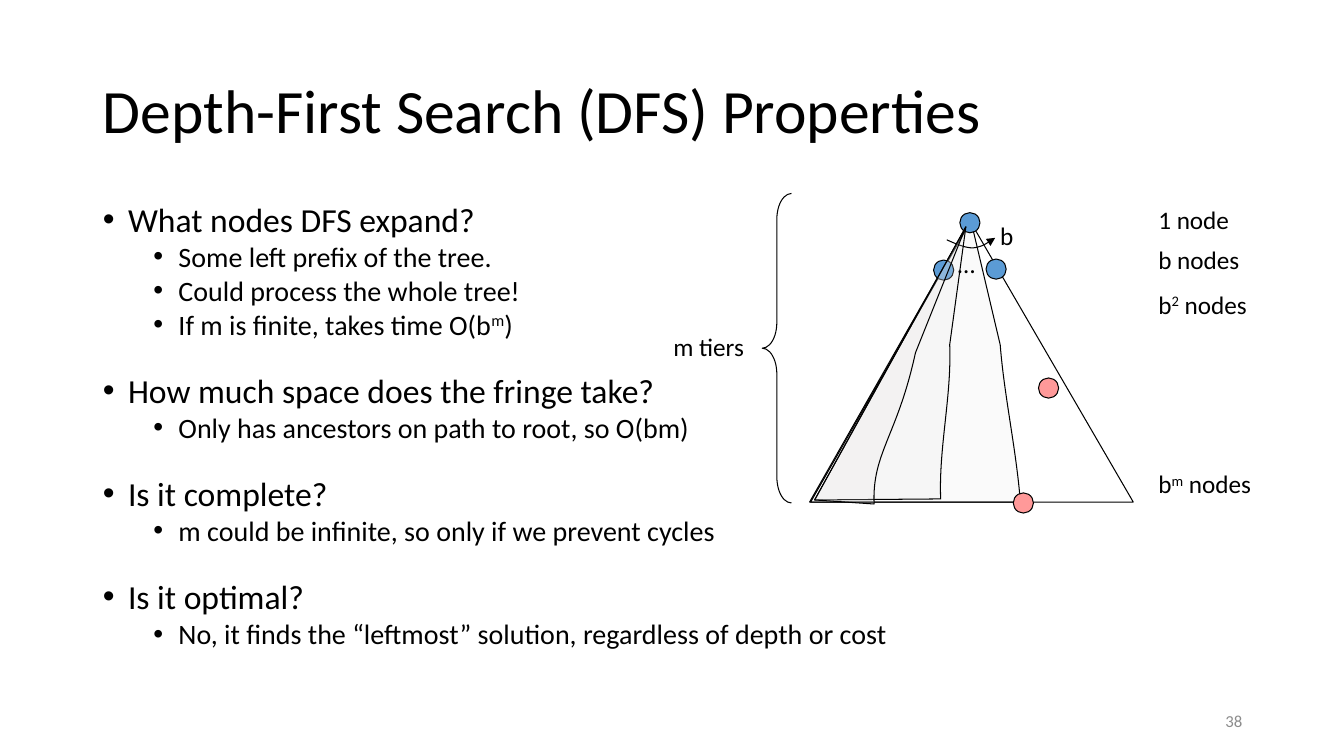
from lxml.etree import SubElement
from pptx import Presentation
from pptx.dml.color import RGBColor
from pptx.enum.shapes import MSO_SHAPE
from pptx.enum.text import MSO_ANCHOR, MSO_AUTO_SIZE, PP_ALIGN
from pptx.oxml.ns import qn
from pptx.util import Inches, Pt

FONT = "Calibri"
BLACK, GREY, SHADE = "000000", "8C8C8C", "E7E6E6"
BLUE, PINK = "5B9BD5", "FF9999"
NODE = 0.2

# Each question with its answers; a run is text or (text, "sup")
QUESTIONS = [
    ("What nodes DFS expand?", [
        ["Some left prefix of the tree."],
        ["Could process the whole tree!"],
        ["If m is finite, takes time O(b", ("m", "sup"), ")"]]),
    ("How much space does the fringe take?", [
        ["Only has ancestors on path to root, so O(bm)"]]),
    ("Is it complete?", [
        ["m could be infinite, so only if we prevent cycles"]]),
    ("Is it optimal?", [
        ["No, it finds the “leftmost” solution, regardless of depth or cost"]]),
]


def color(hex_code):
    return RGBColor.from_string(hex_code)


def add_runs(p, runs, size, hex_code=BLACK):
    for item in runs:
        text, is_sup = (item, False) if isinstance(item, str) else (item[0], True)
        r = p.add_run()
        r.text = text
        r.font.name, r.font.size = FONT, Pt(size)
        r.font.color.rgb = color(hex_code)
        if is_sup:
            r.font._element.set("baseline", "30000")


def add_label(slide, x, y, w, runs, size=18, hex_code=BLACK, align=PP_ALIGN.LEFT):
    sp = slide.shapes.add_textbox(Inches(x), Inches(y), Inches(w), Inches(0.4))
    tf = sp.text_frame
    tf.word_wrap = True
    p = tf.paragraphs[0]
    p.alignment = align
    add_runs(p, runs, size, hex_code)
    return sp


def style(sp, fill=None, alpha=None):
    sp.shadow.inherit = False
    sp.line.color.rgb = color(BLACK)
    sp.line.width = Pt(0.75)
    if fill is None:
        sp.fill.background()
        return
    sp.fill.solid()
    sp.fill.fore_color.rgb = color(fill)
    if alpha:
        clr = sp._element.spPr.find(qn("a:solidFill"))[0]
        SubElement(clr, qn("a:alpha")).set("val", str(alpha * 1000))


def add_outline(slide, x, y, start, segments, close=True):
    """Draw lines (one point) and Bezier curves (three points) from start."""
    def at(pt):
        return Inches(x + pt[0]), Inches(y + pt[1])

    fb = slide.shapes.build_freeform(*at(start), scale=1.0)
    fb.add_line_segments([at(pt) for seg in segments for pt in seg], close=close)
    sp = fb.convert_to_shape()
    steps = iter(list(sp._element.iter(qn("a:lnTo"))))
    for seg in segments:
        parts = [next(steps) for _ in seg]
        if len(seg) == 3:
            curve = parts[0]
            for part in parts[1:]:
                curve.append(part[0])
                part.getparent().remove(part)
            curve.tag = qn("a:cubicBezTo")
    return sp


def add_node(slide, x, y, fill):
    sp = slide.shapes.add_shape(MSO_SHAPE.OVAL, Inches(x), Inches(y),
                                Inches(NODE), Inches(NODE))
    style(sp, fill)


def place(sp, x, y, w, h):
    sp.left, sp.top, sp.width, sp.height = map(Inches, (x, y, w, h))
    sp.text_frame.auto_size = MSO_AUTO_SIZE.NONE
    sp.text_frame.word_wrap = True


def add_title(slide, x, y, w, h):
    sp = slide.shapes.title
    place(sp, x, y, w, h)
    sp.text_frame.vertical_anchor = MSO_ANCHOR.MIDDLE
    p = sp.text_frame.paragraphs[0]
    p.alignment, p.line_spacing = PP_ALIGN.LEFT, 0.9
    add_runs(p, ["Depth-First Search (DFS) Properties"], 44)


def add_bullet(p, level, runs, size, before):
    p.level = level
    pPr = p._p.get_or_add_pPr()
    pPr.set("marL", str(Inches(0.25 + 0.5 * level)))
    pPr.set("indent", str(Inches(-0.25)))
    SubElement(pPr, qn("a:buFont")).set("typeface", "Arial")
    SubElement(pPr, qn("a:buChar")).set("char", "•")
    p.line_spacing, p.space_before = 0.8, Pt(before)
    add_runs(p, runs, size)


def add_questions(slide, x, y, w, h):
    sp = slide.placeholders[1]
    place(sp, x, y, w, h)
    tf = sp.text_frame
    for i, (question, answers) in enumerate(QUESTIONS):
        p = tf.add_paragraph() if i else tf.paragraphs[0]
        add_bullet(p, 0, [question], 24, 26.5 if i else 0)
        for runs in answers:
            add_bullet(tf.add_paragraph(), 1, runs, 20, 5)


def add_prefix(slide, x, y, start, segments):
    style(add_outline(slide, x, y, start, segments), SHADE, 20)


def add_tree(slide, x, y):
    # Largest explored prefix, then the whole tree
    add_prefix(slide, x, y, (0.04, 2.98), [
        [(2.12, 2.98)], [(2.08, 2.46), (1.96, 1.93), (1.92, 1.42)], [(1.63, 0.19)]])
    style(add_outline(slide, x, y, (0.03, 2.98), [[(3.24, 2.98)], [(1.62, 0.19)]]))

    # Root and its children
    for dx, dy in [(1.52, 0.11), (1.26, 0.58), (1.78, 0.57)]:
        add_node(slide, x + dx, y + dy, BLUE)
    add_label(slide, x + 1.4, y + 0.41, 0.3, ["…"])

    # Branching arrow
    arrow = add_outline(slide, x, y, (1.39, 0.38), [
        [(1.48, 0.42), (1.57, 0.46), (1.65, 0.46)],
        [(1.73, 0.45), (1.8, 0.41), (1.87, 0.36)]], close=False)
    style(arrow)
    SubElement(arrow.line._get_or_add_ln(), qn("a:tailEnd")).set("type", "triangle")
    add_label(slide, x + 1.82, y + 0.14, 0.33, ["b"])

    # Smaller prefixes on top, and the two goals
    add_node(slide, x + 2.05, y + 2.89, PINK)
    add_prefix(slide, x, y, (0.08, 2.96), [
        [(1.33, 2.95)], [(1.31, 2.44), (1.44, 1.93), (1.42, 1.42)], [(1.58, 0.25)]])
    add_prefix(slide, x, y, (0.08, 2.96), [
        [(0.67, 3)], [(0.65, 2.49), (0.9, 2.33), (1.08, 1.5)], [(1.58, 0.25)]])
    add_node(slide, x + 2.3, y + 1.75, PINK)


def add_tiers(slide, x, y):
    add_label(slide, x, y + 1.32, 1.38, ["m tiers"])
    brace = slide.shapes.add_shape(MSO_SHAPE.LEFT_BRACE, Inches(x + 0.98), Inches(y),
                                   Inches(0.29), Inches(3.07))
    brace.adjustments[0], brace.adjustments[1] = 0.884, 0.5
    style(brace)


def add_node_counts(slide, x, y):
    for dy, runs in [(0, ["1 node"]), (0.39, ["b nodes"]),
                     (0.84, ["b", ("2", "sup"), " nodes"]),
                     (2.62, ["b", ("m", "sup"), " nodes"])]:
        add_label(slide, x, y + dy, 1.6, runs)


def add_page_number(slide, x, y, w):
    sp = add_label(slide, x, y, w, ["38"], 12, GREY, PP_ALIGN.RIGHT)
    sp.text_frame.vertical_anchor = MSO_ANCHOR.MIDDLE


def main():
    prs = Presentation()
    prs.slide_width, prs.slide_height = Inches(13.33), Inches(7.5)
    slide = prs.slides.add_slide(prs.slide_layouts[1])
    add_title(slide, 0.92, 0.4, 11.5, 1.45)
    add_questions(slide, 0.92, 2, 11.5, 4.76)
    add_tree(slide, 8, 2)
    add_tiers(slide, 6.58, 1.92)
    add_node_counts(slide, 11.39, 1.98)
    add_page_number(slide, 9.42, 6.95, 3)
    prs.save("out.pptx")


if __name__ == "__main__":
    main()
